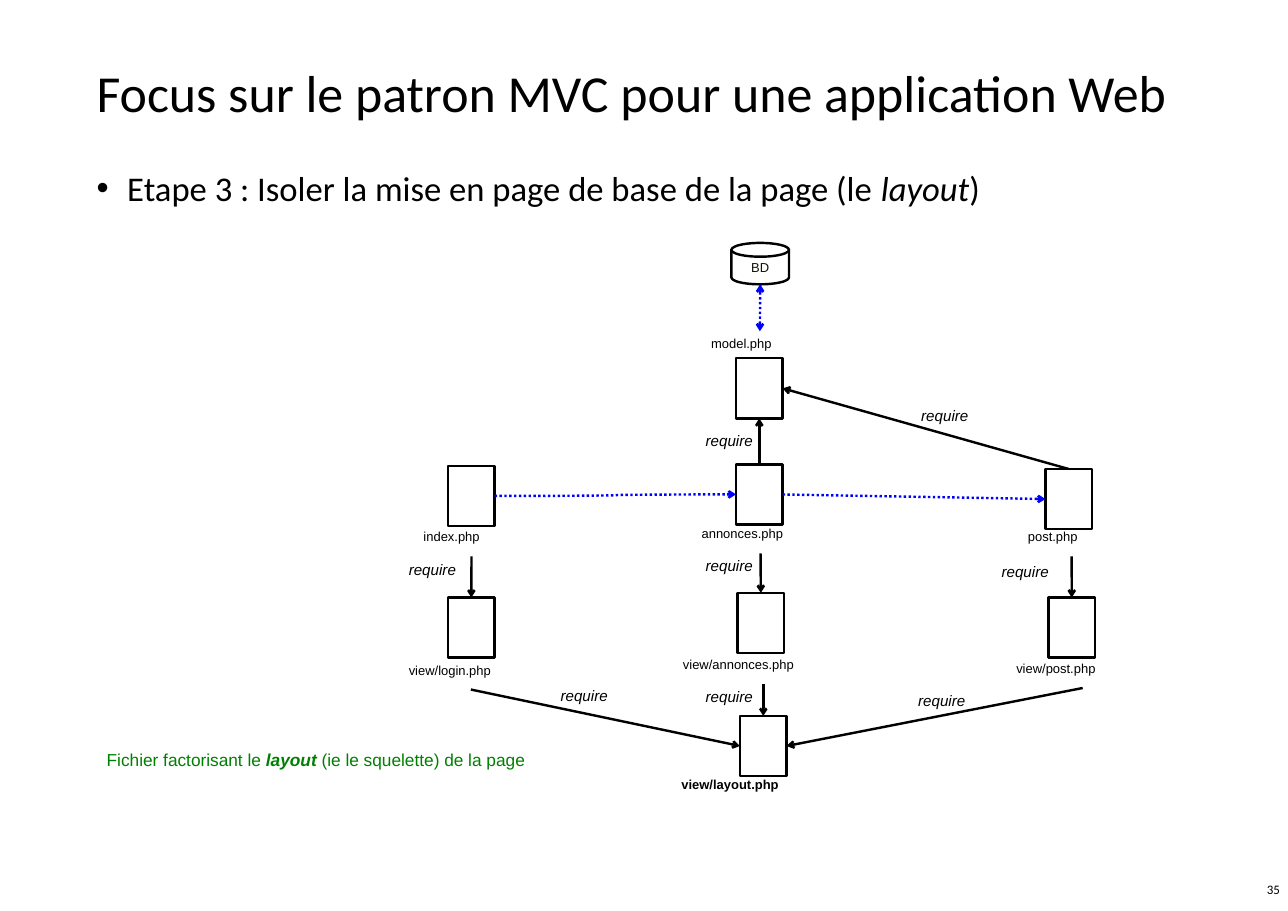
from lxml import etree
from pptx import Presentation
from pptx.dml.color import RGBColor
from pptx.enum.dml import MSO_LINE
from pptx.enum.shapes import MSO_CONNECTOR, MSO_SHAPE
from pptx.enum.text import MSO_ANCHOR, PP_ALIGN
from pptx.oxml.ns import qn
from pptx.util import Cm, Pt

RECT, DISK = MSO_SHAPE.RECTANGLE, MSO_SHAPE.FLOWCHART_MAGNETIC_DISK
STRAIGHT, CURVE = MSO_CONNECTOR.STRAIGHT, MSO_CONNECTOR.CURVE
DOTS = MSO_LINE.ROUND_DOT
MIDDLE, RIGHT, CENTER = MSO_ANCHOR.MIDDLE, PP_ALIGN.RIGHT, PP_ALIGN.CENTER
TOP, LEFT, BOTTOM, EAST = range(4)  # connection sites

COLORS = {"black": "000000", "white": "FFFFFF", "blue": "0000FF",
          "green": "008000", "ink": "130F0B"}
FONTS = {
    "title": {"name": "Calibri", "size": Pt(48)},
    "body": {"name": "Calibri", "size": Pt(32)},
    "page": {"name": "Calibri", "size": Pt(12)},
    "label": {"name": "Arial", "size": Pt(12)},
    "strong": {"name": "Arial", "size": Pt(12), "bold": True},
    "verb": {"name": "Arial", "size": Pt(14), "italic": True},
    "note": {"name": "Arial", "size": Pt(16)},
}
FILE_W, FILE_H, LABEL_H, VERB_W = 1.52, 1.96, 1.02, 2.4

# key: file left, top; label text, left, top, width; label font
FILES = {
    "model": (11, 3.78, "model.php", 9.94, 2.9, 3.68, "label"),
    "index": (1.61, 7.29, "index.php", 0.56, 9.22, 3.63, "label"),
    "ads": (11, 7.24, "annonces.php", 9.63, 9.12, 4.34, "label"),
    "post": (21.09, 7.39, "post.php", 20.27, 9.22, 3.35, "label"),
    "login": (1.61, 11.58, "view/login.php", 0.08, 13.56, 4.55, "label"),
    "adsview": (11.05, 11.43, "view/annonces.php", 9.02, 13.39, 5.74, "label"),
    "postview": (21.19, 11.58, "view/post.php", 19.89, 13.51, 4.83, "label"),
    "layout": (11.13, 15.44, "view/layout.php", 8.97, 17.3, 5.56, "strong"),
}
VERBS = [(0.08, 10.24), (9.76, 10.13), (19.41, 10.31), (9.76, 6.04),
         (16.79, 5.23), (5.03, 14.35), (9.76, 14.38), (16.69, 14.53)]
# links between files: from, site, to, site
CALLS = [("ads", TOP, "model", BOTTOM), ("post", TOP, "model", EAST)]
# links from the label under a file: from, to, site
NEEDS = [("index", "login", TOP), ("ads", "adsview", TOP),
         ("post", "postview", TOP), ("login", "layout", LEFT),
         ("adsview", "layout", TOP), ("postview", "layout", EAST)]


def color(key):
    return RGBColor.from_string(COLORS[key])


def put_runs(para, runs, font, ink="black"):
    for text, extra in runs:
        run = para.add_run()
        run.text = text
        for key, value in {**FONTS[font], **extra}.items():
            setattr(run.font, key, value)
        run.font.color.rgb = color(ink)


def put_text(slide, box, runs, font, ink="black", **form):
    shape = slide.shapes.add_textbox(*map(Cm, box))
    frame = shape.text_frame
    frame.word_wrap = True
    para = frame.paragraphs[0]
    for key, value in form.items():
        setattr(para, key, value)
    put_runs(para, runs, font, ink)
    return shape


def put_shape(slide, kind, box):
    shape = slide.shapes.add_shape(kind, *map(Cm, box))
    shape.shadow.inherit = False
    shape.fill.solid()
    shape.fill.fore_color.rgb = color("white")
    shape.line.color.rgb = color("black")
    shape.line.width = Pt(2.25)
    return shape


def put_link(slide, start, end, ink="black", kind=STRAIGHT,
             tips=("tailEnd",)):
    """Start is a point or a (shape, site) pair; end is such a pair."""
    link = slide.shapes.add_connector(kind, 0, 0, 0, 0)
    if isinstance(start[0], int):
        link.begin_x, link.begin_y = start
    else:
        link.begin_connect(*start)
    link.end_connect(*end)
    link.line.color.rgb = color(ink)
    link.line.width = Pt(2.25)
    if ink == "blue":
        link.line.dash_style = DOTS
    props = link._element.spPr
    line = props.find(qn("a:ln"))
    for tip in tips:
        etree.SubElement(line, qn("a:" + tip), type="arrow")
    etree.SubElement(props, qn("a:effectLst"))


def add_title(slide, box):
    shape = put_text(slide, box, [
        ("Focus sur le patron MVC pour une application Web", {})],
        "title", line_spacing=0.9)
    shape.text_frame.vertical_anchor = MIDDLE


def add_body(slide, box):
    shape = put_text(slide, box, [
        ("Etape 3 : Isoler la mise en page de base de la page (le ", {}),
        ("layout", {"italic": True}), (")", {})],
        "body", line_spacing=0.9, space_before=Pt(15.6))
    props = shape.text_frame.paragraphs[0]._p.get_or_add_pPr()
    props.set("marL", str(Cm(1)))
    props.set("indent", str(-Cm(1)))
    etree.SubElement(props, qn("a:buFont"), typeface="Arial")
    etree.SubElement(props, qn("a:buChar"), char="•")


def add_graph(slide, box):
    x, y = box

    # Database
    disk = put_shape(slide, DISK, (x + 10.85, y + 0.02, 1.88, 1.35))
    frame = disk.text_frame
    for side in ("left", "top", "right", "bottom"):
        setattr(frame, "margin_" + side, 0)
    frame.vertical_anchor = MIDDLE
    frame.paragraphs[0].alignment = CENTER
    put_runs(frame.paragraphs[0], [("BD", {})], "label", "ink")

    # Files and their labels
    files, labels = {}, {}
    for key, (left, top, text, tx, ty, wide, font) in FILES.items():
        files[key] = put_shape(slide, RECT, (x + left, y + top, FILE_W, FILE_H))
        labels[key] = put_text(slide, (x + tx, y + ty, wide, LABEL_H),
                               [(text, {})], font)

    # Blue flows
    foot = (disk.left + disk.width // 2, disk.top + disk.height)
    put_link(slide, foot, (labels["model"], TOP), "blue",
             tips=("headEnd", "tailEnd"))
    put_link(slide, (files["index"], EAST), (files["ads"], LEFT), "blue", CURVE)
    put_link(slide, (files["ads"], EAST), (files["post"], LEFT), "blue")

    # Black require links
    for tail, out, head, site in CALLS:
        put_link(slide, (files[tail], out), (files[head], site))
    for tail, head, site in NEEDS:
        put_link(slide, (labels[tail], BOTTOM), (files[head], site))
    for left, top in VERBS:
        put_text(slide, (x + left, y + top, VERB_W, 0.86),
                 [("require", {})], "verb")


def add_note(slide, box):
    put_text(slide, box, [
        ("Fichier factorisant le ", {}),
        ("layout", {"bold": True, "italic": True}),
        (" (ie le squelette) de la page", {})], "note", "green")


def add_page(slide, box):
    shape = put_text(slide, box, [("35", {})], "page", alignment=RIGHT)
    shape.text_frame.vertical_anchor = MIDDLE


def main():
    deck = Presentation()
    deck.slide_width, deck.slide_height = Cm(42), Cm(29.7)
    slide = deck.slides.add_slide(deck.slide_layouts[6])
    add_title(slide, (2.9, 1.58, 36.22, 3.1))
    add_body(slide, (2.9, 5.46, 36.22, 21.28))
    add_graph(slide, (13, 7.9))
    add_note(slide, (3.23, 24.31, 18.44, 0.94))
    add_page(slide, (32.54, 28.19, 9.45, 1.58))
    deck.save("out.pptx")


if __name__ == "__main__":
    main()
